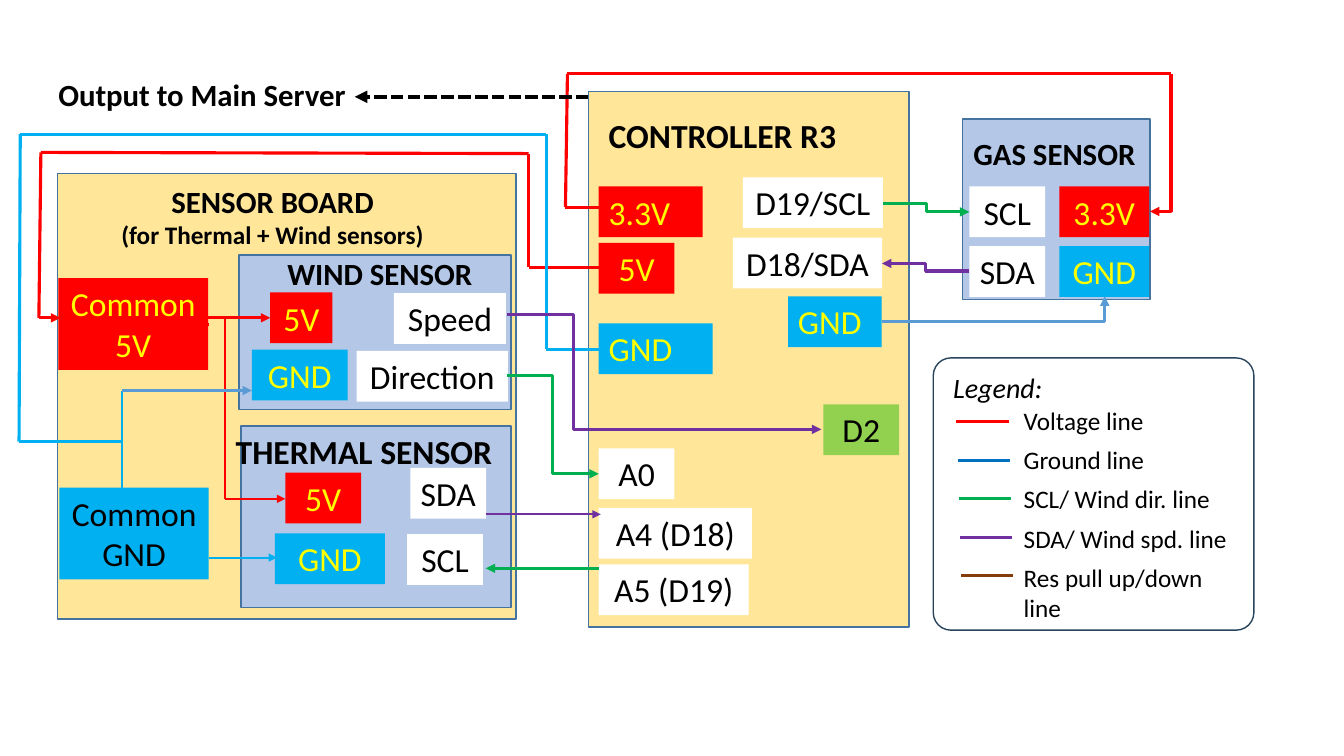
import pptx
import pptx.dml.color
import pptx.enum.dml
import pptx.enum.shapes
import pptx.enum.text
import pptx.oxml.ns
import pptx.oxml.xmlchemy
import pptx.util

Cm = pptx.util.Cm
COLOURS = {
    "board": "FFE699", "sensor": "B4C7E7", "edge": "43739E", "frame": "28445D",
    "red": "FF0000", "blue": "00B0F0", "ground": "0070C0", "steel": "5B9BD5",
    "green": "00B050", "purple": "7030A0", "brown": "843C0B", "lime": "92D050",
    "yellow": "FFFF00", "white": "FFFFFF", "black": "000000",
}
PIN_HEIGHT = 1.28


def colour(name):
    return pptx.dml.color.RGBColor.from_string(COLOURS[name])


def write_text(shape, text, size=24, ink="black", bold=False, italic=False,
               centred=False, wrap=True):
    """Fill a shape with text; a list of (text, size) pairs gives one paragraph each."""
    frame = shape.text_frame
    frame.word_wrap = wrap
    frame.vertical_anchor = pptx.enum.text.MSO_ANCHOR.TOP
    lines = [(text, size)] if isinstance(text, str) else text
    for index, (words, points) in enumerate(lines):
        paragraph = frame.add_paragraph() if index else frame.paragraphs[0]
        align = pptx.enum.text.PP_ALIGN
        paragraph.alignment = align.CENTER if centred else align.LEFT
        run = paragraph.add_run()
        run.text = words
        run.font.name = "Calibri"
        run.font.size = pptx.util.Pt(points)
        run.font.bold, run.font.italic = bold, italic
        run.font.color.rgb = colour(ink)


class Diagram:
    def __init__(self, slide):
        self.slide = slide
        self.thick, self.thin = 2.25, 1.5

    def box(self, x, y, width, height, fill=None, edge=None, rounding=None):
        kinds = pptx.enum.shapes.MSO_SHAPE
        kind = kinds.RECTANGLE if rounding is None else kinds.ROUNDED_RECTANGLE
        shape = self.slide.shapes.add_shape(kind, Cm(x), Cm(y), Cm(width), Cm(height))
        shape.shadow.inherit = False
        if rounding is not None:
            shape.adjustments[0] = rounding
        if fill:
            shape.fill.solid()
            shape.fill.fore_color.rgb = colour(fill)
        else:
            shape.fill.background()
        if edge:
            shape.line.color.rgb = colour(edge)
            shape.line.width = pptx.util.Pt(1)
        else:
            shape.line.fill.background()
        return shape

    def pin(self, text, x, y, width, fill="white", height=PIN_HEIGHT, ink=None,
            centred=True):
        ink = ink or ("yellow" if fill in ("red", "blue") else "black")
        write_text(self.box(x, y, width, height, fill), text, ink=ink, centred=centred)

    def label(self, text, x, y, width, height=1.2, **style):
        area = self.slide.shapes.add_textbox(Cm(x), Cm(y), Cm(width), Cm(height))
        write_text(area, text, **style)

    def connector(self, kind, start, end, ink, width=None, arrow=None):
        line = self.slide.shapes.add_connector(kind, *(Cm(v) for v in start + end))
        line.line.color.rgb = colour(ink)
        line.line.width = pptx.util.Pt(width or self.thick)
        if arrow:
            tip = pptx.oxml.xmlchemy.OxmlElement(f"a:{arrow}End")
            tip.set("type", "triangle")
            line._element.spPr.find(pptx.oxml.ns.qn("a:ln")).append(tip)
        line._element.spPr.append(pptx.oxml.xmlchemy.OxmlElement("a:effectLst"))
        return line

    def wire(self, ink, *points, arrow=False, width=None):
        """Run straight segments through the points, with an arrow on the last."""
        segments = list(zip(points, points[1:]))
        straight = pptx.enum.shapes.MSO_CONNECTOR.STRAIGHT
        for index, (start, end) in enumerate(segments, 1):
            tip = "tail" if arrow and index == len(segments) else None
            line = self.connector(straight, start, end, ink, width, tip)
        return line

    def elbow(self, ink, start, end, bend=0.5, corner=False, arrow="tail"):
        """Bend twice at the given share of the width, or once for a corner."""
        kind = pptx.enum.shapes.MSO_CONNECTOR.ELBOW
        line = self.connector(kind, start, end, ink, arrow=arrow)
        outline = line._element.spPr.find(pptx.oxml.ns.qn("a:prstGeom"))
        if corner:
            outline.set("prst", "bentConnector2")
        elif bend != 0.5:
            guide = pptx.oxml.xmlchemy.OxmlElement("a:gd")
            guide.set("name", "adj1")
            guide.set("fmla", f"val {round(bend * 100000)}")
            outline.find(pptx.oxml.ns.qn("a:avLst")).append(guide)


def main():
    deck = pptx.Presentation()
    deck.slide_width, deck.slide_height = Cm(33.87), Cm(19.05)
    diagram = Diagram(deck.slides.add_slide(deck.slide_layouts[6]))

    # Boards and sensors
    for area in [(14.83, 2.31, 8.08, 13.49, "board"), (24.26, 3, 4.72, 4.55, "sensor"),
                 (1.45, 4.37, 11.56, 11.23, "board"), (6.02, 6.43, 6.86, 3.89, "sensor"),
                 (6.07, 10.74, 6.81, 4.57, "sensor")]:
        diagram.box(*area, edge="edge")

    # Headings
    for heading, x, y, width, size in [
            ("CONTROLLER R3", 15.09, 2.77, 7.65, 24), ("GAS SENSOR", 24.28, 3.28, 4.83, 22),
            ("WIND SENSOR", 6.99, 6.3, 6.05, 22), ("THERMAL SENSOR", 5.69, 10.74, 7.49, 24),
            ("Output to Main Server", 1.22, 1.78, 12.27, 22)]:
        diagram.label(heading, x, y, width, size=size, bold=True)
    diagram.label([("SENSOR BOARD", 22), ("(for Thermal + Wind sensors)", 18)],
                  2.69, 4.47, 8.36, 2.57, bold=True, centred=True)

    # Controller pins
    for text, y, width in [("A0", 11.3, 1.91), ("A4 (D18)", 12.8, 3.86),
                           ("A5 (D19)", 14.22, 3.78)]:
        diagram.pin(text, 15.09, y, width)
    diagram.pin("3.3V", 15.09, 4.7, 2.62, "red", centred=False)
    diagram.pin("5V", 15.09, 6.12, 1.91, "red")
    diagram.pin("GND", 15.09, 8.15, 2.87, "blue", centred=False)
    diagram.pin("D19/SCL", 18.72, 4.47, 3.53)
    diagram.pin("D18/SDA", 18.47, 5.99, 3.76)
    diagram.pin("GND", 19.86, 7.47, 2.36, "blue", centred=False)
    diagram.pin("D2", 20.75, 10.19, 1.91, "lime")

    # Gas, wind and thermal sensor pins
    for pin in [("SCL", 24.43, 4.7, 1.91), ("SDA", 24.43, 6.2, 1.91),
                ("3.3V", 26.7, 4.7, 2.26, "red"), ("GND", 26.7, 6.2, 2.26, "blue"),
                ("5V", 6.81, 7.37, 1.57, "red"), ("GND", 6.35, 8.81, 2.41, "blue"),
                ("Speed", 9.93, 7.39, 2.82), ("Direction", 8.99, 8.84, 3.81),
                ("5V", 7.19, 11.91, 1.91, "red"), ("GND", 6.93, 13.44, 2.77, "blue"),
                ("SDA", 10.34, 11.79, 1.91), ("SCL", 10.26, 13.46, 1.91)]:
        diagram.pin(*pin)
    diagram.pin([("Common", 24), ("5V", 24)], 1.47, 7.01, 3.78, "red", 2.31)
    diagram.pin("Common GND", 1.5, 12.29, 3.76, "blue", 2.31, ink="black")

    # Voltage wires
    diagram.wire("red", (15.09, 6.73), (13.32, 6.73), (13.32, 3.87), (1.03, 3.84),
                 (0.98, 8.01), (1.52, 8.01), arrow=True)
    diagram.elbow("red", (5.26, 8.17), (6.81, 8.01), bend=-0.11)
    diagram.wire("red", (5.68, 8.03), (5.68, 12.57), (7.19, 12.57), arrow=True,
                 width=diagram.thin)
    diagram.wire("red", (15.09, 5.22), (14.25, 5.22), (14.3, 1.86), (29.51, 1.86))
    diagram.elbow("red", (28.98, 5.33), (29.51, 1.86), corner=True, arrow="head")

    # Ground wires
    diagram.wire("blue", (3.07, 11.13), (0.48, 11.13), (0.51, 3.38), (13.77, 3.38),
                 (13.77, 8.8), (15.09, 8.8))
    diagram.wire("blue", (3.07, 9.84), (3.07, 12.29), width=diagram.thin)
    diagram.wire("steel", (3.07, 9.84), (6.35, 9.84), arrow=True)
    diagram.wire("blue", (5.26, 14.05), (6.98, 14.05), arrow=True, width=diagram.thin)
    diagram.elbow("steel", (22.23, 8.1), (27.84, 7.47), corner=True)

    # Signal wires
    diagram.elbow("purple", (12.78, 7.92), (20.7, 10.82), bend=0.21)
    diagram.elbow("green", (12.78, 9.47), (15.09, 11.94))
    diagram.wire("purple", (12.24, 12.96), (15.14, 12.96), arrow=True, width=diagram.thin)
    diagram.wire("green", (15.09, 14.32), (12.24, 14.32), arrow=True)
    diagram.elbow("purple", (24.43, 6.83), (22.23, 6.64))
    diagram.elbow("green", (22.25, 5.13), (24.43, 5.34))
    output = diagram.wire("black", (14.83, 2.44), (8.94, 2.44), arrow=True, width=3)
    output.line.dash_style = pptx.enum.dml.MSO_LINE.SQUARE_DOT

    # Legend
    diagram.box(23.52, 9.02, 8.08, 6.86, edge="frame", rounding=0.065)
    diagram.label("Legend:", 23.77, 9.22, 2.77, size=20, italic=True, wrap=False)
    for row, (ink, meaning) in enumerate([
            ("red", "Voltage line"), ("ground", "Ground line"),
            ("green", "SCL/ Wind dir. line"), ("purple", "SDA/ Wind spd. line"),
            ("brown", "Res pull up/down line")]):
        x, y = 24.1 + 0.03 * row, 10.63 + 0.97 * row
        diagram.wire(ink, (x, y), (x + 1.32, y))
        diagram.label(meaning, 25.55, 10.08 + 0.99 * row, 5.7, 1.02, size=18, wrap=False)

    deck.save("out.pptx")


if __name__ == "__main__":
    main()
